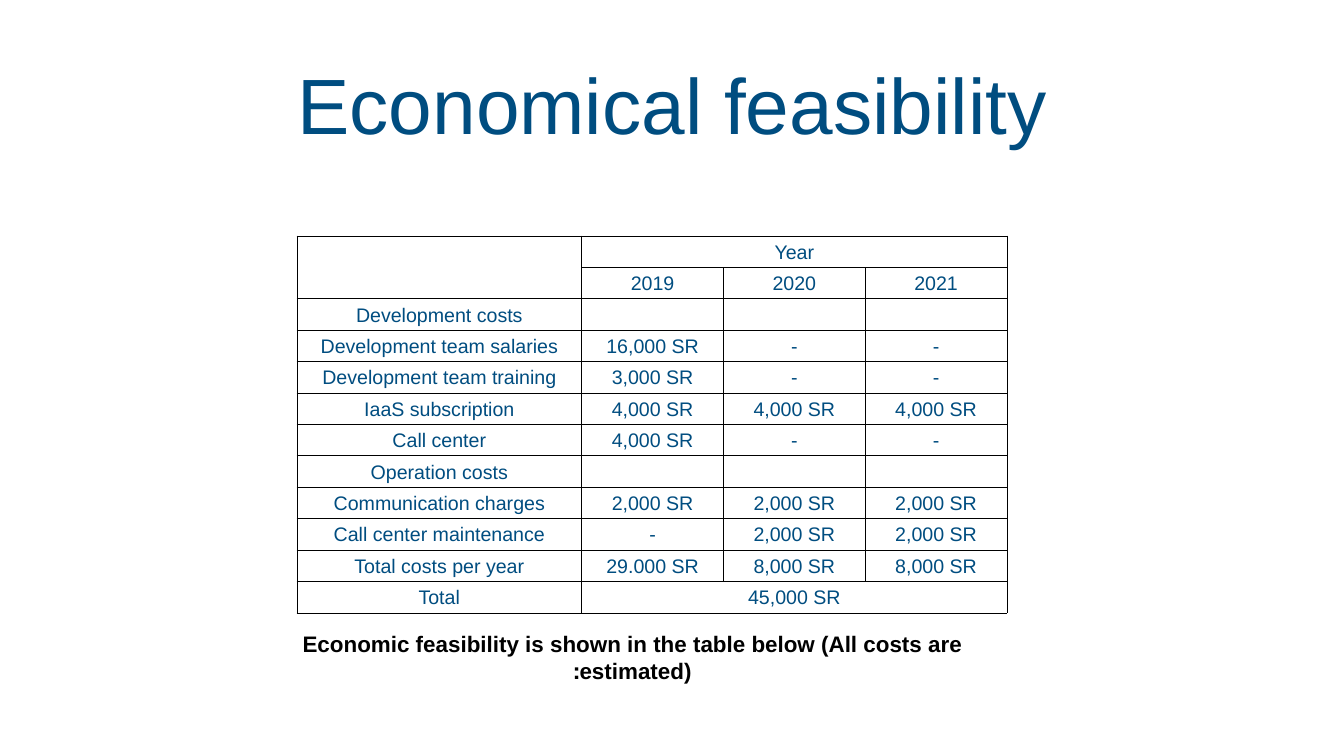
from lxml.etree import SubElement
from pptx import Presentation
from pptx.dml.color import RGBColor as RGB
from pptx.enum.text import MSO_ANCHOR as Anchor, MSO_AUTO_SIZE as Fit, PP_ALIGN as Align
from pptx.oxml.ns import qn
from pptx.util import Pt

HUES = {"blue": "004D80", "ink": "000000", "paper": "FFFFFF"}
ROWS = [
    ["", "Year", "", ""],
    ["", "2019", "2020", "2021"],
    ["Development costs", "", "", ""],
    ["Development team salaries", "16,000 SR", "-", "-"],
    ["Development team training", "3,000 SR", "-", "-"],
    ["IaaS subscription", "4,000 SR", "4,000 SR", "4,000 SR"],
    ["Call center", "4,000 SR", "-", "-"],
    ["Operation costs", "", "", ""],
    ["Communication charges", "2,000 SR", "2,000 SR", "2,000 SR"],
    ["Call center maintenance", "-", "2,000 SR", "2,000 SR"],
    ["Total costs per year", "29.000 SR", "8,000 SR", "8,000 SR"],
    ["Total", "45,000 SR", "", ""],
]
WIDTHS = [407, 202.5, 202.5, 202.5]
ROW_H = 44.88
LEFT = 424


def write(frame, text, size, hue, bold=False):
    frame.text = text
    para = frame.paragraphs[0]
    para.alignment = Align.CENTER
    for run in para.runs:
        font = run.font
        font.name, font.size, font.bold = "Arial", Pt(size), bold
        font.color.rgb = RGB.from_string(HUES[hue])
    return para


def rule(cell):
    """Draw a thin line on all four sides of a cell."""
    props = cell._tc.get_or_add_tcPr()
    for side in ("lnL", "lnR", "lnT", "lnB"):
        line = SubElement(props, qn(f"a:{side}"), w=str(Pt(1)))
        fill = SubElement(line, qn("a:solidFill"))
        SubElement(fill, qn("a:srgbClr"), val=HUES["ink"])


deck = Presentation()
deck.slide_width, deck.slide_height = Pt(1920), Pt(1080)
slide = deck.slides.add_slide(deck.slide_layouts[5])

# Title
title = slide.shapes.title
title.left, title.top, title.width, title.height = Pt(345.6), Pt(28), Pt(1229), Pt(239)
frame = title.text_frame
frame.auto_size = Fit.NONE
frame.vertical_anchor = Anchor.MIDDLE
frame.margin_left = frame.margin_right = frame.margin_top = frame.margin_bottom = Pt(5.6)
write(frame, "Economical feasibility", 112, "blue")

# Cost table
table = slide.shapes.add_table(
    len(ROWS), len(WIDTHS), Pt(LEFT), Pt(337), Pt(sum(WIDTHS)), Pt(ROW_H * len(ROWS))
).table
table.first_row = table.horz_banding = False
for col, width in zip(table.columns, WIDTHS):
    col.width = Pt(width)
for r, texts in enumerate(ROWS):
    table.rows[r].height = Pt(ROW_H)
    for c, text in enumerate(texts):
        cell = table.cell(r, c)
        cell.margin_left = cell.margin_right = Pt(5)
        cell.margin_top = cell.margin_bottom = 0
        cell.vertical_anchor = Anchor.MIDDLE
        rule(cell)
        cell.fill.solid()
        cell.fill.fore_color.rgb = RGB.from_string(HUES["paper"])
        if text:
            write(cell.text_frame, text, 28, "blue").line_spacing = 1.07
table.cell(0, 0).merge(table.cell(1, 0))
for r in (0, len(ROWS) - 1):
    table.cell(r, 1).merge(table.cell(r, 3))

# Caption, set right to left
note = slide.shapes.add_textbox(Pt(LEFT), Pt(897), Pt(960), Pt(85)).text_frame
note.word_wrap = True
note.auto_size = Fit.SHAPE_TO_FIT_TEXT
para = write(
    note,
    "Economic feasibility is shown in the table below (All costs are estimated):",
    32, "ink", bold=True,
)
para._p.get_or_add_pPr().set("rtl", "1")

deck.save("out.pptx")
